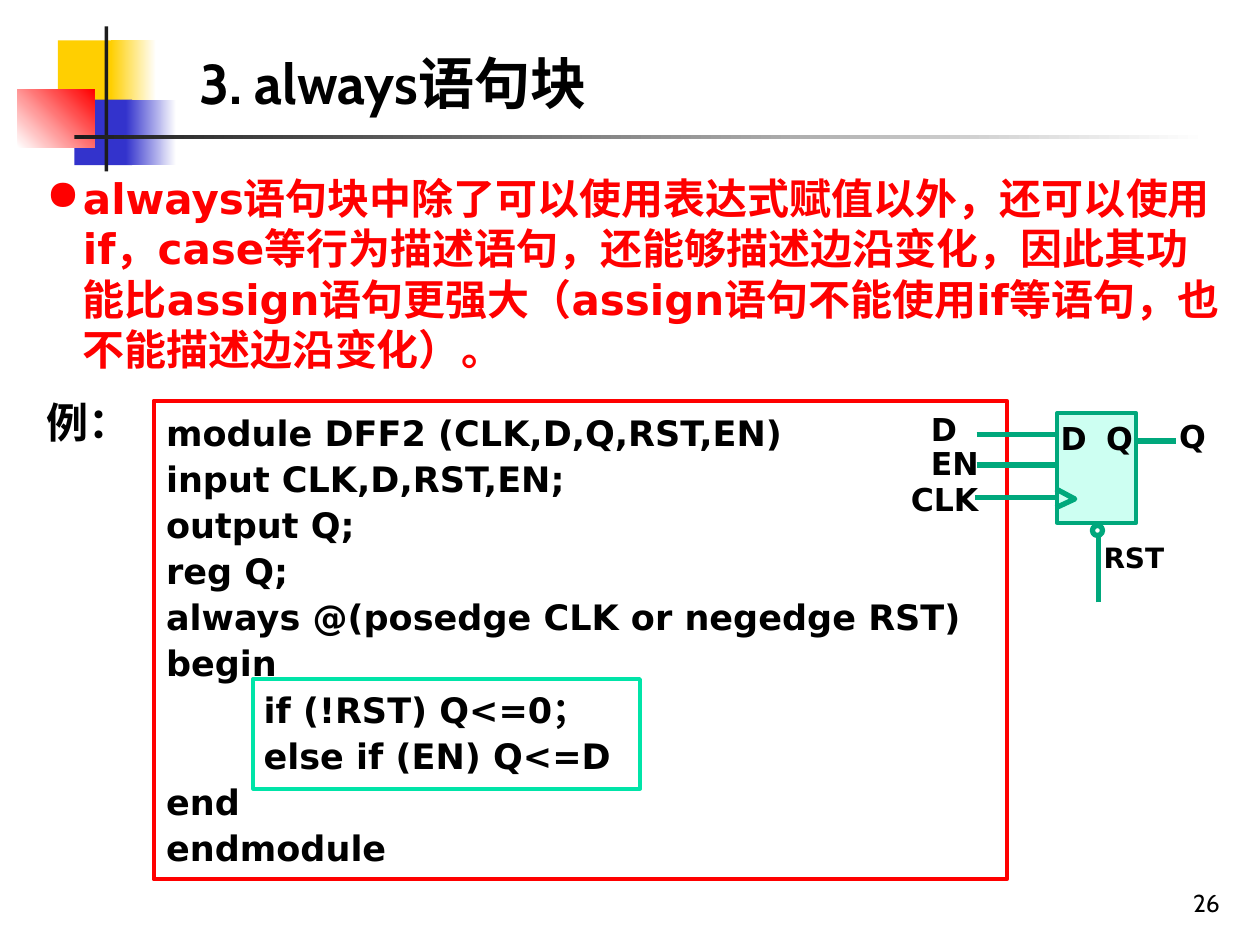
from dataclasses import dataclass
from typing import Optional

from lxml import etree
from pptx import Presentation
from pptx.dml.color import RGBColor
from pptx.enum.shapes import MSO_CONNECTOR, MSO_SHAPE
from pptx.enum.text import MSO_ANCHOR, MSO_AUTO_SIZE, PP_ALIGN
from pptx.oxml.ns import qn
from pptx.util import Inches, Pt

RECTANGLE, OVAL = MSO_SHAPE.RECTANGLE, MSO_SHAPE.OVAL
STRAIGHT = MSO_CONNECTOR.STRAIGHT
TOP, BOTTOM = MSO_ANCHOR.TOP, MSO_ANCHOR.BOTTOM
LEFT, RIGHT = PP_ALIGN.LEFT, PP_ALIGN.RIGHT
NO_AUTOFIT = MSO_AUTO_SIZE.NONE

WHITE = RGBColor(0xFF, 0xFF, 0xFF)
BLACK = RGBColor(0x00, 0x00, 0x00)
CHARCOAL = RGBColor(0x1C, 0x1C, 0x1C)
YELLOW = RGBColor(0xFF, 0xCF, 0x01)
BLUE = RGBColor(0x33, 0x33, 0xCC)
RED = RGBColor(0xFF, 0x00, 0x00)
MINT = RGBColor(0x00, 0xE4, 0xA8)
PALE_MINT = RGBColor(0xCD, 0xFF, 0xF2)
GREEN = RGBColor(0x00, 0xA8, 0x7C)

HEADING_FONT, BODY_FONT = "Cabin", "DejaVu Sans"
COLUMNS, ROWS = 100, 75
SLIDE_WIDTH, SLIDE_HEIGHT = Inches(10), Inches(7.5)
BULLET_INDENT = Inches(0.29)


def column(count: float) -> int:
    return round(SLIDE_WIDTH * count / COLUMNS)


def row(count: float) -> int:
    return round(SLIDE_HEIGHT * count / ROWS)


@dataclass(frozen=True)
class Box:
    """A rectangle in grid columns and rows."""
    left: float
    top: float
    width: float
    height: float

    def lengths(self) -> tuple[int, int, int, int]:
        return column(self.left), row(self.top), column(self.width), row(self.height)


@dataclass(frozen=True)
class Panel:
    box: Box
    fill: Optional[RGBColor] = None
    fade_to: Optional[RGBColor] = None
    angle: float = 0
    line: Optional[RGBColor] = None
    line_width: float = 2.25
    kind: int = RECTANGLE


@dataclass(frozen=True)
class Label:
    box: Box
    lines: tuple[str, ...]
    size: float = 18
    color: RGBColor = BLACK
    font: str = BODY_FONT
    bold: bool = True
    wrap: bool = False
    spacing: float = 1.0
    align: int = LEFT
    anchor: int = TOP
    bullet: str = ""


@dataclass(frozen=True)
class Wire:
    start: tuple[float, float]
    end: tuple[float, float]


DECORATION = (
    Panel(Box(4.6, 3.2, 4.8, 5.2), YELLOW),
    Panel(Box(8.8, 3.2, 3.6, 5.2), YELLOW, WHITE),
    Panel(Box(5.9, 7.9, 4.6, 5.2), BLUE),
    Panel(Box(10, 7.9, 4, 5.2), BLUE, WHITE),
    Panel(Box(1.4, 7.1, 6.1, 4.6), WHITE, RED, 45),
    Panel(Box(8.3, 2.1, 0.3, 11.5), CHARCOAL),
    Panel(Box(5.9, 10.7, 90, 0.3), CHARCOAL, WHITE),
)
CODE = (
    "module DFF2 (CLK,D,Q,RST,EN)",
    "input CLK,D,RST,EN;",
    "output Q;",
    "reg Q;",
    "always @(posedge CLK or negedge RST)",
    "begin",
    "        if (!RST) Q<=0；",
    "        else if (EN) Q<=D",
    "end",
    "endmodule",
)
EXPLANATION = (
    "always语句块中除了可以使用表达式赋值以外，还可以使用if，case等行为描述语句，"
    "还能够描述边沿变化，因此其功能比assign语句更强大（assign语句不能使用if等语句，"
    "也不能描述边沿变化）。"
)
TITLE = Label(Box(14.8, 2.1, 85.2, 7.6), ("3. always语句块",), 32,
              font=HEADING_FONT, wrap=True, anchor=BOTTOM)
CODE_LABEL = Label(Box(12.2, 31.8, 67.7, 38), CODE, 20, wrap=True, spacing=1.1)
TEXTS = (
    Label(Box(77, 68.3, 20.8, 5), ("26",), 14, font=HEADING_FONT, bold=False,
          wrap=True, align=RIGHT, anchor=BOTTOM),
    Label(Box(2.7, 13.2, 95.9, 17), (EXPLANATION,), 24, RED, wrap=True, bullet="●"),
    Label(Box(2.7, 31, 8.7, 5), ("例：",), 24, wrap=True),
)
FRAMES = (
    Panel(CODE_LABEL.box, line=RED),
    Panel(Box(20.1, 53.9, 30.7, 8.7), line=MINT),
)
FLIP_FLOP = Panel(Box(83.9, 32.8, 6.3, 8.7), PALE_MINT, line=GREEN)
RESET_BUBBLE = Panel(Box(86.7, 41.7, 0.8, 0.8), WHITE, line=GREEN, line_width=3, kind=OVAL)
CLOCK_MARK = ((83.8, 38.8), (85.3, 39.6), (83.8, 40.3))
WIRES = (
    Wire((90.2, 35), (93.3, 35)),
    Wire((77.5, 34.5), (83.8, 34.5)),
    Wire((77.5, 36.9), (83.8, 36.9)),
    Wire((77.4, 39.5), (83.7, 39.5)),
    Wire((87.2, 47.8), (87.2, 41.4)),
)
PIN_LABELS = (
    Label(Box(72.9, 32.4, 5.8, 6.4), ("D", "EN"), spacing=0.9),
    Label(Box(92.6, 32.6, 4.1, 4), ("Q",)),
    Label(Box(83.2, 32.8, 4.1, 4), ("D",)),
    Label(Box(71.3, 37.6, 10.5, 4), ("CLK",), wrap=True),
    Label(Box(86.8, 32.8, 4.1, 4), ("Q",)),
    Label(Box(86.6, 42.4, 6.8, 3.7), ("RST",), 16),
)


def draw_panel(shapes, panel: Panel) -> None:
    shape = shapes.add_shape(panel.kind, *panel.box.lengths())
    shape.shadow.inherit = False
    if panel.fill is None:
        shape.fill.background()
    elif panel.fade_to is None:
        shape.fill.solid()
        shape.fill.fore_color.rgb = panel.fill
    else:
        shape.fill.gradient()
        shape.fill.gradient_angle = panel.angle
        for stop, color in zip(shape.fill.gradient_stops, (panel.fill, panel.fade_to)):
            stop.color.rgb = color
    if panel.line is None:
        shape.line.fill.background()
    else:
        shape.line.color.rgb = panel.line
        shape.line.width = Pt(panel.line_width)


def add_bullet(paragraph, character: str) -> None:
    properties = paragraph._p.get_or_add_pPr()
    properties.set("marL", str(BULLET_INDENT))
    properties.set("indent", str(-BULLET_INDENT))
    etree.SubElement(properties, qn("a:buChar")).set("char", character)


def write_label(shape, label: Label) -> None:
    frame = shape.text_frame
    frame.auto_size = NO_AUTOFIT
    frame.word_wrap = label.wrap
    frame.vertical_anchor = label.anchor
    for index, line in enumerate(label.lines):
        paragraph = frame.add_paragraph() if index else frame.paragraphs[0]
        paragraph.alignment = label.align
        paragraph.line_spacing = label.spacing
        if label.bullet:
            add_bullet(paragraph, label.bullet)
        run = paragraph.add_run()
        run.text = line
        run.font.name = label.font
        run.font.size = Pt(label.size)
        run.font.bold = label.bold
        run.font.color.rgb = label.color


def draw_label(shapes, label: Label) -> None:
    write_label(shapes.add_textbox(*label.box.lengths()), label)


def draw_wire(shapes, wire: Wire) -> None:
    (x1, y1), (x2, y2) = wire.start, wire.end
    connector = shapes.add_connector(STRAIGHT, column(x1), row(y1), column(x2), row(y2))
    connector.line.color.rgb = GREEN
    connector.line.width = Pt(3)
    etree.SubElement(connector._element.spPr, qn("a:effectLst"))


def draw_clock_mark(shapes) -> None:
    points = [(column(x), row(y)) for x, y in CLOCK_MARK]
    builder = shapes.build_freeform(*points[0])
    builder.add_line_segments(points[1:], close=False)
    mark = builder.convert_to_shape()
    mark.shadow.inherit = False
    mark.fill.background()
    mark.line.color.rgb = GREEN
    mark.line.width = Pt(3)


def main() -> None:
    presentation = Presentation()
    presentation.slide_width, presentation.slide_height = SLIDE_WIDTH, SLIDE_HEIGHT
    slide = presentation.slides.add_slide(presentation.slide_layouts[5])
    shapes = slide.shapes
    title = shapes.title
    title.left, title.top, title.width, title.height = TITLE.box.lengths()
    write_label(title, TITLE)
    for panel in DECORATION + FRAMES + (FLIP_FLOP,):
        draw_panel(shapes, panel)
    for wire in WIRES:
        draw_wire(shapes, wire)
    draw_clock_mark(shapes)
    draw_panel(shapes, RESET_BUBBLE)
    for label in TEXTS + (CODE_LABEL,) + PIN_LABELS:
        draw_label(shapes, label)
    presentation.save("out.pptx")


if __name__ == "__main__":
    main()
